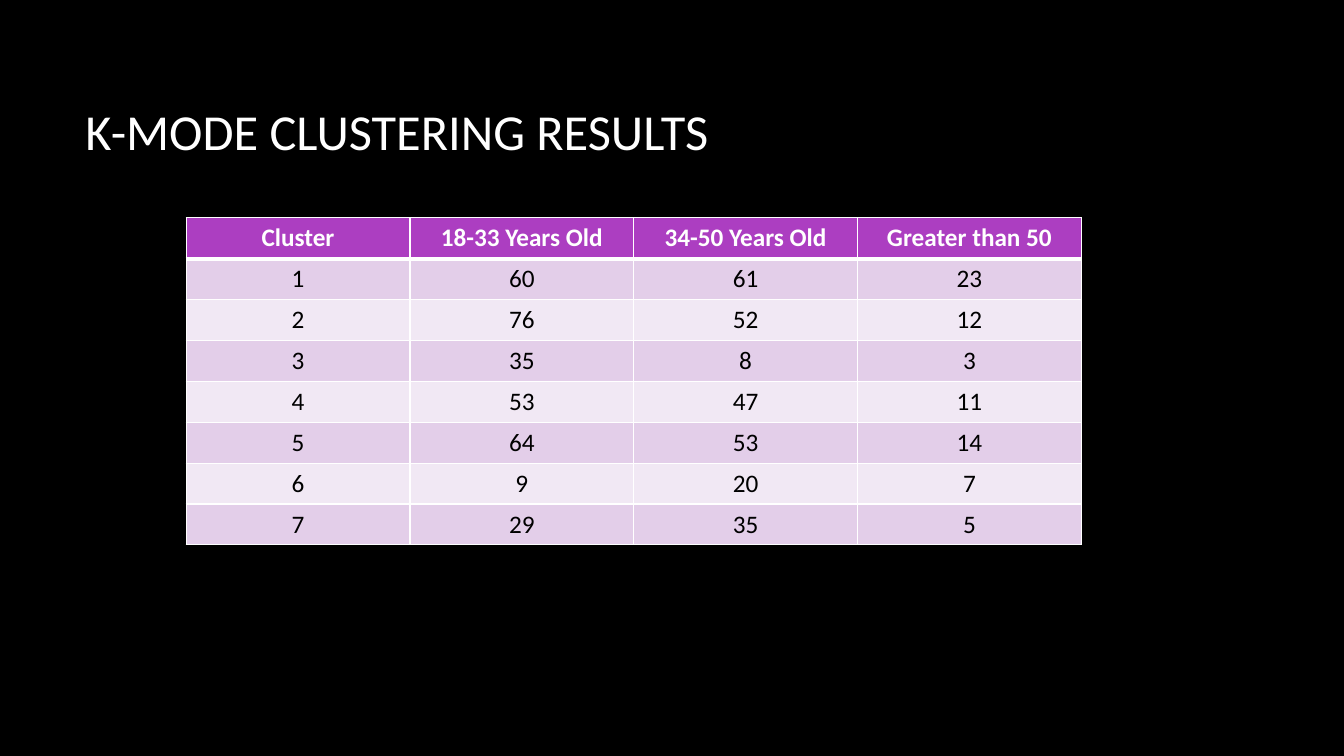
import dataclasses

import lxml.etree
import pptx
import pptx.dml.color
import pptx.enum.text
import pptx.oxml.ns
import pptx.util

Cm = pptx.util.Cm
Pt = pptx.util.Pt


@dataclasses.dataclass(frozen=True)
class Theme:
    """Colours, font and type sizes of the slide."""
    font: str = "Calibri"
    background: str = "000000"
    light: str = "FFFFFF"
    dark: str = "000000"
    header: str = "AC3EC1"
    bands: tuple = ("E3CEE9", "F1E8F4")
    title_size: int = 36
    table_size: int = 18
    thin_line: int = 1
    header_line: int = 3


THEME = Theme()

HEADINGS = ("Cluster", "18-33 Years Old", "34-50 Years Old", "Greater than 50")
AGE_COUNTS = (
    (60, 61, 23),
    (76, 52, 12),
    (35, 8, 3),
    (53, 47, 11),
    (64, 53, 14),
    (9, 20, 7),
    (29, 35, 5),
)


def apply_format(target, values):
    """Set each named attribute on the target."""
    for name, value in values.items():
        setattr(target, name, value)


def paint(fill, colour):
    """Give a fill one solid colour."""
    fill.solid()
    fill.fore_color.rgb = pptx.dml.color.RGBColor.from_string(colour)


def write_text(frame, text, size, colour, align, bold=False):
    """Write one formatted paragraph into a text frame."""
    para = frame.paragraphs[0]
    para.alignment = align
    span = para.add_run()
    span.text = text
    apply_format(span.font, {"name": THEME.font, "size": Pt(size), "bold": bold})
    span.font.color.rgb = pptx.dml.color.RGBColor.from_string(colour)


def set_borders(cell, widths):
    """Draw cell borders; widths maps a side (L, R, T, B) to points."""
    properties = cell._tc.get_or_add_tcPr()
    qn = pptx.oxml.ns.qn
    for index, (side, width) in enumerate(widths.items()):
        line = lxml.etree.Element(qn(f"a:ln{side}"), w=str(Pt(width)))
        fill = lxml.etree.SubElement(line, qn("a:solidFill"))
        lxml.etree.SubElement(fill, qn("a:srgbClr"), val=THEME.light)
        properties.insert(index, line)


def add_title(page, text):
    """Place and fill the title placeholder."""
    box = page.shapes.title
    apply_format(box, {"left": Cm(1.9), "top": Cm(1.27),
                       "width": Cm(28.15), "height": Cm(4.04)})
    apply_format(box.text_frame, {
        "word_wrap": True,
        "vertical_anchor": pptx.enum.text.MSO_ANCHOR.MIDDLE})
    write_text(box.text_frame, text, THEME.title_size, THEME.light,
               pptx.enum.text.PP_ALIGN.LEFT)


def format_cell(cell, text, row):
    """Fill one table cell in header or banded body style."""
    is_header = row == 0
    paint(cell.fill, THEME.header if is_header else THEME.bands[(row - 1) % 2])
    write_text(cell.text_frame, text, THEME.table_size,
               THEME.light if is_header else THEME.dark,
               pptx.enum.text.PP_ALIGN.CENTER, bold=is_header)
    set_borders(cell, {
        "L": THEME.thin_line,
        "R": THEME.thin_line,
        "T": THEME.header_line if row == 1 else THEME.thin_line,
        "B": THEME.header_line if is_header else THEME.thin_line})


def add_cluster_table(page, rows):
    """Add the table with equal columns and equal rows."""
    column_count = len(rows[0])
    table = page.shapes.add_table(
        len(rows), column_count, Cm(4.69), Cm(5.49),
        Cm(5.64) * column_count, Cm(1.03) * len(rows)).table
    for row, values in enumerate(rows):
        for column, value in enumerate(values):
            format_cell(table.cell(row, column), str(value), row)


def main():
    """Build and save the slide."""
    deck = pptx.Presentation()
    apply_format(deck, {"slide_width": Cm(33.87), "slide_height": Cm(19.05)})
    page = deck.slides.add_slide(deck.slide_layouts.get_by_name("Title Only"))
    paint(page.background.fill, THEME.background)
    add_title(page, "K-MODE CLUSTERING RESULTS")
    clusters = [(number, *counts) for number, counts in enumerate(AGE_COUNTS, 1)]
    add_cluster_table(page, [HEADINGS, *clusters])
    deck.save("out.pptx")


main()
